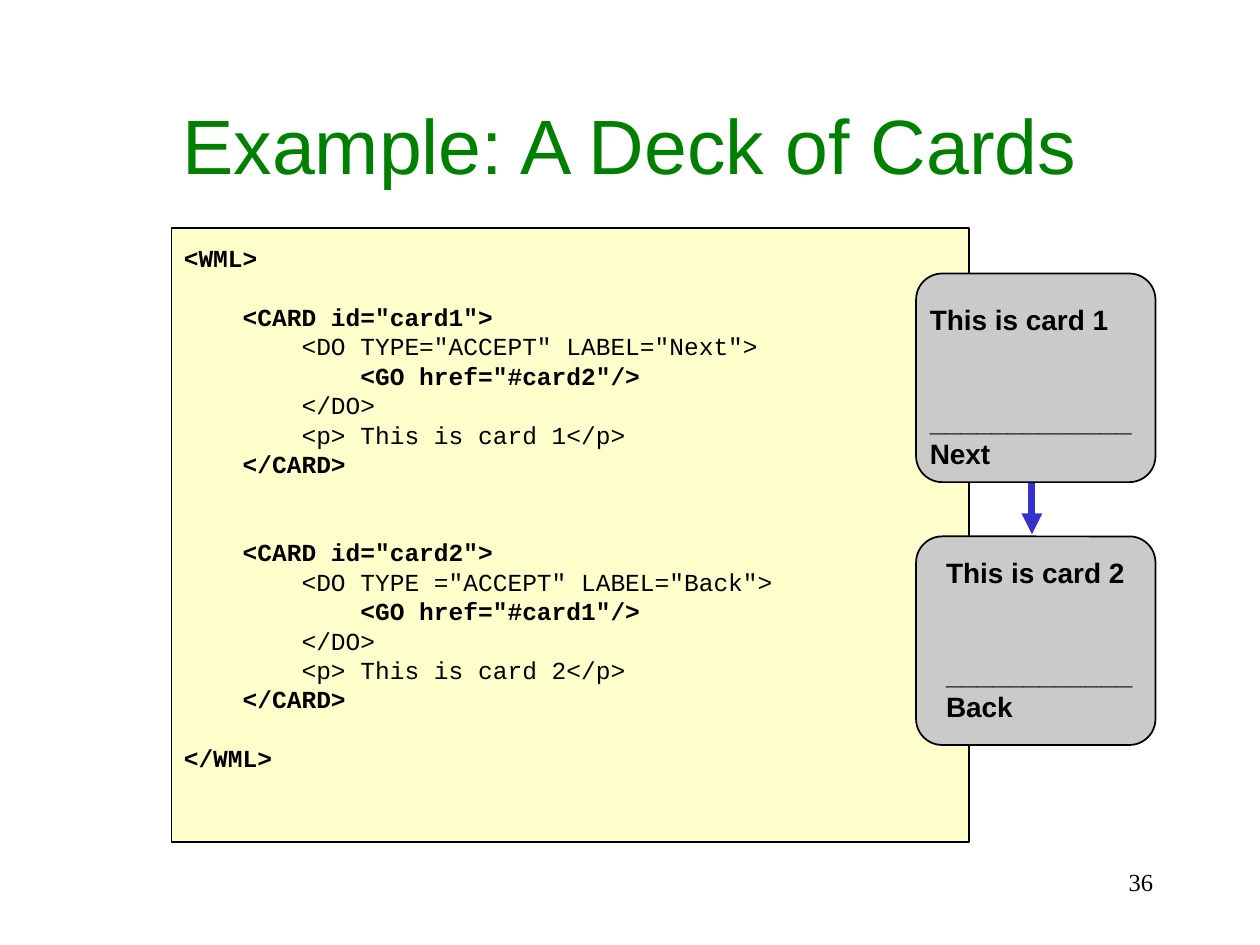
from typing import NamedTuple

from lxml.etree import SubElement
from pptx import Presentation
from pptx.dml.color import RGBColor
from pptx.enum.shapes import MSO_CONNECTOR, MSO_SHAPE
from pptx.enum.text import MSO_ANCHOR, PP_ALIGN
from pptx.oxml.ns import qn
from pptx.util import Pt


class Box(NamedTuple):
    left: float
    top: float
    width: float
    height: float


class Style(NamedTuple):
    font: str
    size: float
    color: str = "000000"
    align: PP_ALIGN = PP_ALIGN.LEFT
    pitch: float | None = None


class Line(NamedTuple):
    text: str
    bold: bool = False
    gap: int = 0  # empty lines above


class Card(NamedTuple):
    top: float
    text_box: Box
    lines: list[Line]


TITLE = Style("Arial", 44, "008000", PP_ALIGN.CENTER)
CODE = Style("Courier New", 14, pitch=16.8)
CARD = Style("Arial", 16, pitch=19.2)
NUMBER = Style("Times New Roman", 14, align=PP_ALIGN.RIGHT)


def code_card(number: int, action: str, target: int, assign: str, gap: int) -> list[Line]:
    return [
        Line(f'    <CARD id="card{number}">', True, gap),
        Line(f'        <DO TYPE{assign}"ACCEPT" LABEL="{action}">'),
        Line(f'            <GO href="#card{target}"/>', True),
        Line("        </DO>"),
        Line(f"        <p> This is card {number}</p>"),
        Line("    </CARD>", True),
    ]


def card_lines(number: int, action: str, rule_length: int) -> list[Line]:
    return [
        Line(f"This is card {number}", True),
        Line("_" * rule_length, True, 2),
        Line(action, True),
    ]


CODE_LINES = [
    Line("<WML>", True),
    *code_card(1, "Next", 2, "=", 1),
    *code_card(2, "Back", 1, " =", 2),
    Line("</WML>", True, 1),
]
CARDS = [
    Card(156.3, Box(524.2, 169.2, 130.3, 103), card_lines(1, "Next", 13)),
    Card(306.5, Box(533.5, 313.9, 121, 103), card_lines(2, "Back", 12)),
]


def rgb(color: str) -> RGBColor:
    return RGBColor.from_string(color)


def add_panel(slide, preset: MSO_SHAPE, box: Box, fill: str):
    shape = slide.shapes.add_shape(preset, *map(Pt, box))
    shape.shadow.inherit = False
    shape.fill.solid()
    shape.fill.fore_color.rgb = rgb(fill)
    shape.line.color.rgb = rgb("000000")
    shape.line.width = Pt(1)
    return shape


def add_text(slide, box: Box, lines: list[Line], style: Style,
             wrap: bool = True, anchor: MSO_ANCHOR = MSO_ANCHOR.TOP) -> None:
    frame = slide.shapes.add_textbox(*map(Pt, box)).text_frame
    frame.word_wrap = wrap
    frame.vertical_anchor = anchor
    for index, line in enumerate(lines):
        paragraph = frame.add_paragraph() if index else frame.paragraphs[0]
        paragraph.text = line.text
        paragraph.alignment = style.align
        if style.pitch:
            paragraph.line_spacing = Pt(style.pitch)
            if line.gap:
                paragraph.space_before = Pt(line.gap * style.pitch)
        font = paragraph.font
        font.name = style.font
        font.size = Pt(style.size)
        font.bold = line.bold
        font.color.rgb = rgb(style.color)


def add_down_arrow(slide, x: float, top: float, bottom: float) -> None:
    connector = slide.shapes.add_connector(
        MSO_CONNECTOR.STRAIGHT, Pt(x), Pt(top), Pt(x), Pt(bottom))
    connector.line.color.rgb = rgb("3333CC")
    connector.line.width = Pt(4)
    SubElement(connector.line._get_or_add_ln(), qn("a:tailEnd"), type="triangle")
    SubElement(connector._element.spPr, qn("a:effectLst"))


def main() -> None:
    presentation = Presentation()
    presentation.slide_width, presentation.slide_height = Pt(720), Pt(540)
    slide = presentation.slides.add_slide(presentation.slide_layouts[6])

    add_panel(slide, MSO_SHAPE.RECTANGLE, Box(98, 130.3, 455.8, 350.7), "FFFFCC")
    add_text(slide, Box(98, 135.4, 540, 309.6), CODE_LINES, CODE)
    add_text(slide, Box(54, 48.2, 612, 67.7), [Line("Example: A Deck of Cards")],
             TITLE, anchor=MSO_ANCHOR.MIDDLE)
    add_down_arrow(slide, 589.7, 239.8, 305.3)
    for card in CARDS:
        panel = add_panel(slide, MSO_SHAPE.ROUNDED_RECTANGLE,
                          Box(523.5, card.top, 136.8, 119.2), "CACACA")
        panel.adjustments[0] = 0.125
        add_text(slide, card.text_box, card.lines, CARD, wrap=False)
    add_text(slide, Box(516.2, 491.8, 149.8, 36), [Line("36")], NUMBER)

    presentation.save("out.pptx")


if __name__ == "__main__":
    main()
